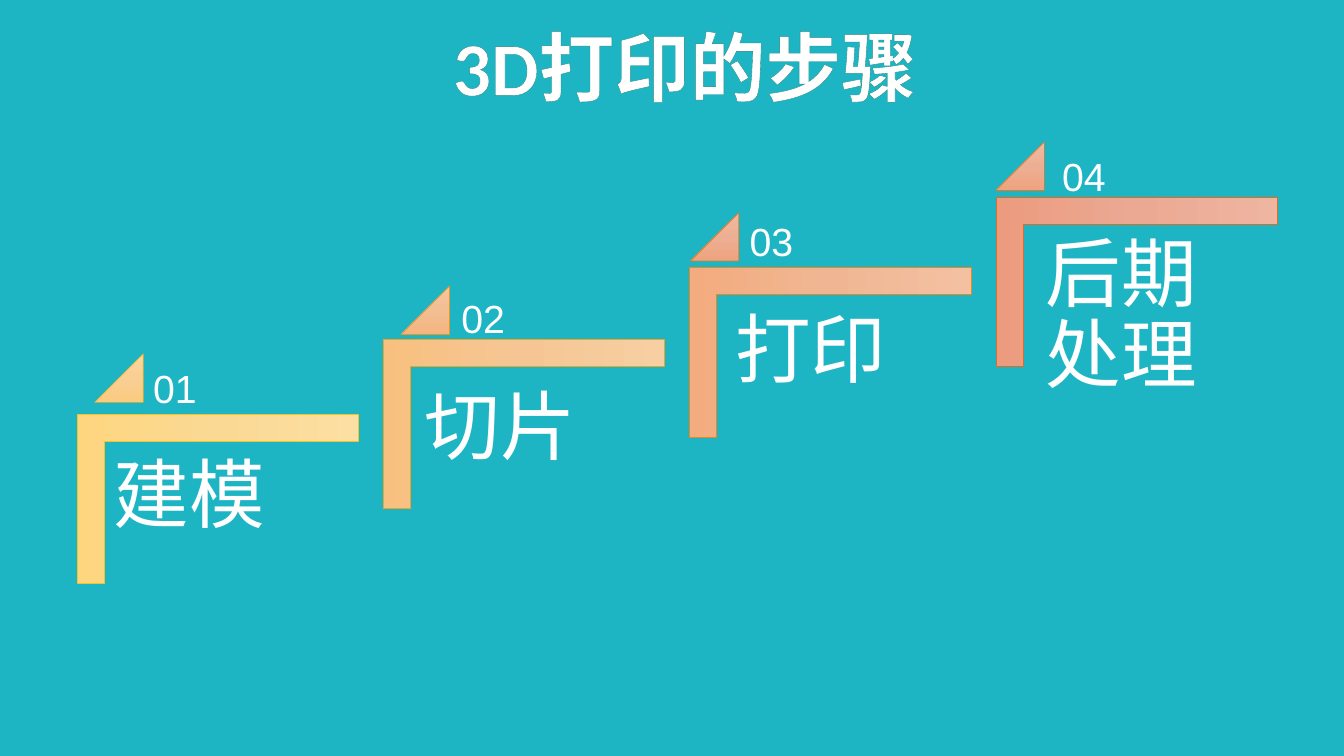
from copy import deepcopy

from lxml import etree
from pptx import Presentation
from pptx import util as u
from pptx.dml.color import RGBColor
from pptx.enum import shapes, text
from pptx.oxml import ns

TITLE = "3D打印的步骤"
STEPS = [
    dict(name="建模", arm_top=10.43, name_top=10.95, mark=(2.39, 8.92), number=(3.61, 8.71),
         arm=("FCDFA2", "FAD994", "FED67F"), arm_line="F4C325",
         tip=("FAD7A2", "F8CF94", "FBCB7F"), tip_line="F1B425"),
    dict(name="切片", arm_top=8.55, name_top=9.22, mark=(10.11, 7.21), number=(11.38, 6.93),
         arm=("F7CFA2", "F5C694", "F8C07F"), arm_line="EDA524",
         tip=("F5C7A2", "F2BE93", "F5B57F"), tip_line="E99624"),
    dict(name="打印", arm_top=6.74, name_top=7.29, mark=(17.4, 5.36), number=(18.64, 5.0),
         arm=("F3C1A2", "F0B693", "F3AC7F"), arm_line="E68824",
         tip=("F1BAA1", "EDAF93", "EFA37F"), tip_line="E27A24"),
    dict(name="后期处理", arm_top=4.97, name_top=5.36, mark=(25.1, 3.58), number=(26.52, 3.35),
         arm=("EEB5A1", "EBA993", "EC9B7F"), arm_line="DE6D24",
         tip=("F1BAA1", "EDAF93", "EFA37F"), tip_line="E27A24"),
]
THEME = dict(
    back="1DB5C4", outline="248882", outline_width=0.52, line_width=0.5,
    title=dict(name="Calibri", size=u.Pt(54), bold=True),
    step=dict(name="Calibri", size=u.Pt(54)),
    number=dict(name="Arial", size=u.Pt(28)),
    ink="FFFFFF",
)
ARM_LEFT, ARM_PITCH, ARM_W, ARM_H, ARM_ADJ = 1.94, 7.72, 7.09, 4.27, 0.16
NAME_LEFT, NAME_PITCH, NAME_W, NAME_H, NAME_INSET = 2.29, 7.83, 6.4, 5.61, 0.58
TIP = 1.22


def rgb(value):
    return RGBColor.from_string(value)


def add_text(s, words, box, style, align=text.PP_ALIGN.LEFT, spacing=1.0, inset=None, grow=False):
    sp = s.shapes.add_textbox(*map(u.Cm, box))
    tf = sp.text_frame
    tf.word_wrap = True
    if grow:
        tf.auto_size = text.MSO_AUTO_SIZE.SHAPE_TO_FIT_TEXT
    if inset is not None:
        for side in ("left", "top", "right", "bottom"):
            setattr(tf, f"margin_{side}", u.Cm(inset))
    p = tf.paragraphs[0]
    p.alignment, p.line_spacing = align, spacing
    r = p.add_run()
    r.text = words
    for key, value in THEME[style].items():
        setattr(r.font, key, value)
    r.font.color.rgb = rgb(THEME["ink"])
    return r


def add_gradient_shape(s, kind, box, adj, colours, line, rotation=0):
    sp = s.shapes.add_shape(kind, *map(u.Cm, box))
    sp.shadow.inherit = False
    sp.rotation = rotation
    for i, value in enumerate(adj):
        sp.adjustments[i] = value
    sp.fill.gradient()
    sp.fill.gradient_angle = 270
    stops = sp.fill.gradient_stops
    first = sp.element.spPr.find(".//" + ns.qn("a:gs"))
    first.addnext(deepcopy(first))
    stops = sp.fill.gradient_stops
    for stop, position, colour in zip(stops, (0, 0.5, 1), colours):
        stop.position = position
        stop.color.rgb = rgb(colour)
    sp.line.color.rgb = rgb(line)
    sp.line.width = u.Pt(THEME["line_width"])


def outline_text(r):
    ln = etree.Element(ns.qn("a:ln"), w=str(int(u.Pt(THEME["outline_width"]))))
    fill = etree.SubElement(ln, ns.qn("a:solidFill"))
    etree.SubElement(fill, ns.qn("a:srgbClr"), val=THEME["outline"])
    r.font._element.insert(0, ln)


def main():
    prs = Presentation()
    prs.slide_width, prs.slide_height = u.Cm(33.87), u.Cm(19.05)
    s = prs.slides.add_slide(prs.slide_layouts[6])
    s.background.fill.solid()
    s.background.fill.fore_color.rgb = rgb(THEME["back"])

    outline_text(add_text(s, TITLE, (11.07, 0.38, 12.37, 2.57), "title",
                          text.PP_ALIGN.CENTER, grow=True))

    turn = (ARM_W - ARM_H) / 2
    for i, step in enumerate(STEPS):
        add_text(s, step["name"],
                 (NAME_LEFT + i * NAME_PITCH, step["name_top"], NAME_W, NAME_H),
                 "step", spacing=0.9, inset=NAME_INSET)
        add_gradient_shape(s, shapes.MSO_SHAPE.CORNER,
                           (ARM_LEFT + i * ARM_PITCH + turn, step["arm_top"] - turn, ARM_H, ARM_W),
                           (ARM_ADJ, ARM_ADJ), step["arm"], step["arm_line"], 90)
        add_gradient_shape(s, shapes.MSO_SHAPE.ISOSCELES_TRIANGLE, (*step["mark"], TIP, TIP),
                           (1,), step["tip"], step["tip_line"])
        add_text(s, f"{i + 1:02d}", (*step["number"], 1.83, 1.65), "number",
                 spacing=1.3, grow=True)

    prs.save("out.pptx")


if __name__ == "__main__":
    main()
